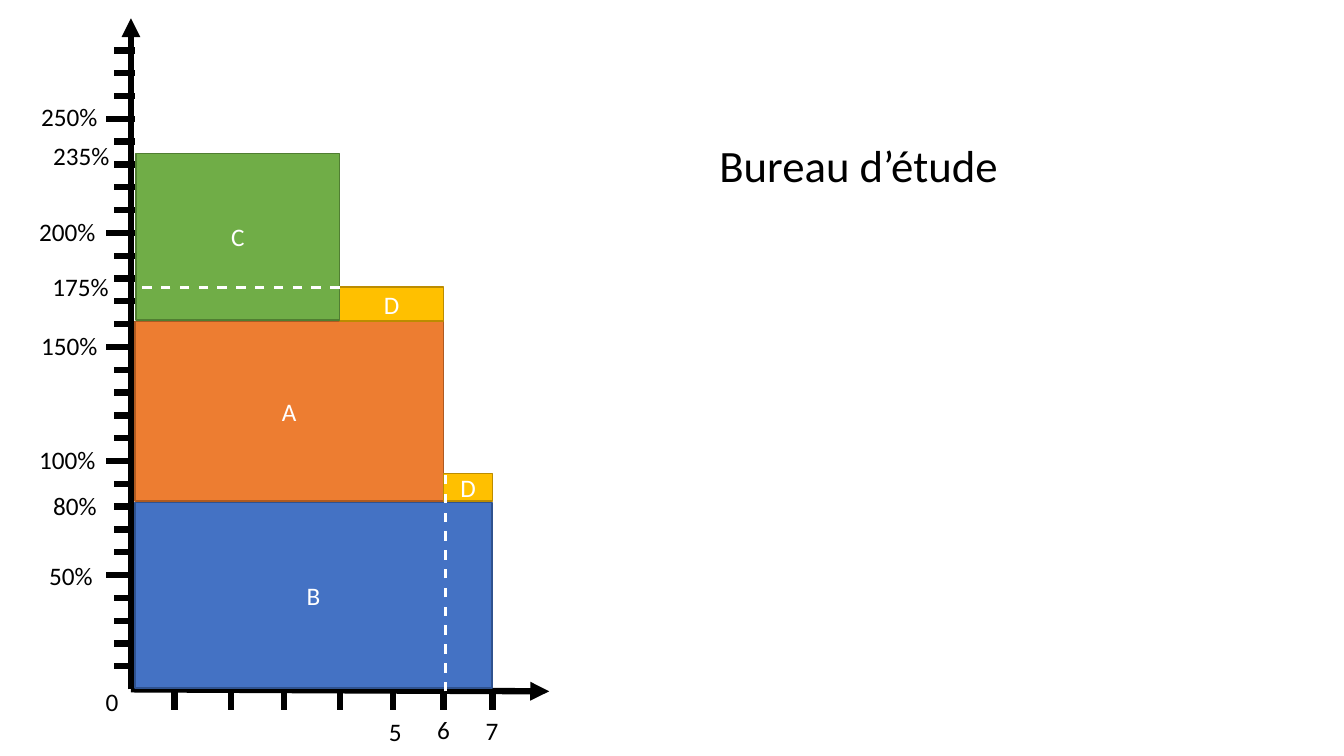
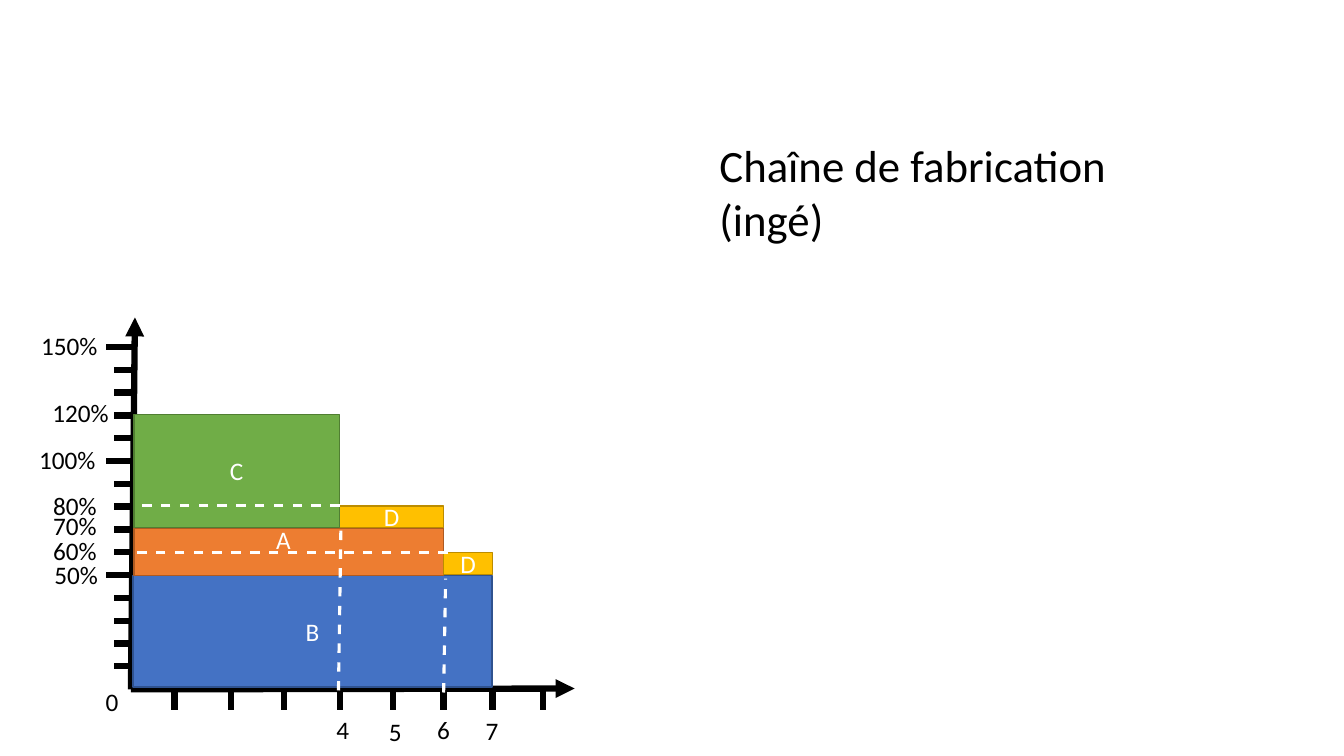
"""Build two slides of stacked workload blocks against a percent axis."""
import dataclasses
import lxml.etree
import pptx
import pptx.dml.color
import pptx.enum.shapes
import pptx.enum.text
import pptx.oxml.ns
import pptx.util

Cm = pptx.util.Cm
Pt = pptx.util.Pt
RGB = pptx.dml.color.RGBColor.from_string


@dataclasses.dataclass(frozen=True)
class Theme:
    font: str = "Calibri"
    ink: str = "000000"
    pale: str = "FFFFFF"
    body: int = 18
    title: int = 32
    axis: float = 4.5
    dash: float = 2.25
    edge: float = 1


theme = Theme()
hues = {
    "A": ("ED7D31", "AE5A21"),
    "B": ("4472C4", "2F528F"),
    "C": ("70AD47", "507E32"),
    "D": ("FFC000", "BC8C00"),
}


def write(slide, text, box, size=theme.body, ink=theme.ink, hue=None):
    place = [Cm(part) for part in box]
    if hue:
        kind = pptx.enum.shapes.MSO_SHAPE.RECTANGLE
        shape = slide.shapes.add_shape(kind, *place)
        shape.shadow.inherit = False
        shape.fill.solid()
        shape.fill.fore_color.rgb = RGB(hue[0])
        shape.line.color.rgb = RGB(hue[1])
        shape.line.width = Pt(theme.edge)
    else:
        shape = slide.shapes.add_textbox(*place)
    frame = shape.text_frame
    frame.word_wrap = True
    if not text:
        return
    para = frame.paragraphs[0]
    if hue:
        frame.vertical_anchor = pptx.enum.text.MSO_ANCHOR.MIDDLE
        para.alignment = pptx.enum.text.PP_ALIGN.CENTER
    run = para.add_run()
    run.text = text
    run.font.name = theme.font
    run.font.size = Pt(size)
    run.font.color.rgb = RGB(ink)


def rule(slide, ends, arrow=False, dash=False):
    kind = pptx.enum.shapes.MSO_CONNECTOR.STRAIGHT
    line = slide.shapes.add_connector(kind, *[Cm(part) for part in ends])
    line.line.color.rgb = RGB(theme.pale if dash else theme.ink)
    line.line.width = Pt(theme.dash if dash else theme.axis)
    name = pptx.oxml.ns.qn
    stroke = line.line._get_or_add_ln()
    if dash:
        cust = lxml.etree.SubElement(stroke, name("a:custDash"))
        lxml.etree.SubElement(cust, name("a:ds"), d="300000", sp="300000")
    if arrow:
        lxml.etree.SubElement(stroke, name("a:tailEnd"), type="triangle")
    lxml.etree.SubElement(line._element.spPr, name("a:effectLst"))


low, high = 16.79, 1.27
step = (low - high) / 27
marks = [4.4, 5.82, 7.16, 8.56, 9.9, 11.18, 12.41]

pages = [
    {
        "title": "Bureau d’étude",
        "axes": [(3.3, 17.37, 3.3, 0.46), (3.3, 17.37, 13.84, 17.42)],
        "ticks": 28,
        "marks": marks,
        "blocks": [
            ("B", 3.4, 12.66, 9, 4.68),
            ("A", 3.4, 8.1, 7.78, 4.53),
            ("D", 8.56, 7.23, 2.62, 0.86),
            ("C", 3.43, 3.87, 5.13, 4.2),
            ("D", 11.18, 11.94, 1.23, 0.69),
        ],
        "guides": [(8.56, 7.24, 3.43, 7.24), (11.22, 17.42, 11.22, 8.2)],
        "labels": [
            ("50%", 0.99, 14), ("80%", 1.09, 12.24), ("100%", 0.74, 11.07),
            ("150%", 0.79, 8.2), ("175%", 1.07, 6.7), ("200%", 0.74, 5.33),
            ("235%", 1.09, 3.4), ("250%", 0.79, 2.44),
        ],
        "days": [("5", 9.55, 17.93), ("6", 10.77, 17.88), ("7", 11.99, 17.91)],
    },
    {
        "title": "Chaîne de fabrication (ingé)",
        "axes": [(3.3, 17.37, 3.4, 8), (3.3, 17.37, 14.48, 17.35)],
        "ticks": 15,
        "marks": marks + [13.68],
        "blocks": [
            ("B", 3.35, 14.5, 9.05, 2.81),
            ("A", 3.38, 13.31, 7.8, 1.19),
            ("D", 8.56, 12.75, 2.62, 0.54),
            ("C", 3.38, 10.44, 5.17, 2.85),
            ("D", 11.18, 13.92, 1.23, 0.56),
        ],
        "guides": [
            (8.56, 12.73, 3.4, 12.73), (11.28, 13.92, 3.4, 13.92),
            (11.18, 17.45, 11.23, 14.58), (8.53, 17.4, 8.59, 13.36),
        ],
        "labels": [
            ("50%", 1.12, 13.97), ("60%", 1.09, 13.36), ("70%", 1.09, 12.73),
            ("80%", 1.09, 12.22), ("100%", 0.74, 11.07), ("120%", 1.07, 9.88),
            ("150%", 0.79, 8.2),
        ],
        "days": [
            ("4", 8.23, 17.88), ("5", 9.55, 17.93),
            ("6", 10.77, 17.88), ("7", 11.99, 17.91),
        ],
        "over": ("A", (6.71, 13.08, 0.89, 1.02)),
    },
]

deck = pptx.Presentation()
deck.slide_width = Cm(33.87)
deck.slide_height = Cm(19.05)

for page in pages:
    slide = deck.slides.add_slide(deck.slide_layouts[6])
    for axis in page["axes"]:
        rule(slide, axis, arrow=True)
    for tick in range(page["ticks"]):
        level = low - tick * step
        left = 2.67 if tick % 5 == 4 else 2.87
        rule(slide, (3.4, level, left, level))
    for mark in page["marks"]:
        rule(slide, (mark, 17.36, mark, 17.88))
    over = page.get("over")
    for name, *box in page["blocks"]:
        text = "" if over and name == over[0] else name
        write(slide, text, box, ink=theme.pale, hue=hues[name])
    for guide in page["guides"]:
        rule(slide, guide, dash=True)
    if over:
        write(slide, *over, ink=theme.pale)
    for text, left, top in page["labels"]:
        write(slide, text, (left, top, 1.95, 1.02))
    for text, left, top in page["days"] + [("0", 2.41, 17.17)]:
        write(slide, text, (left, top, 0.9, 1.02))
    tall = 1.62 if page["title"].startswith("Bureau") else 3
    write(slide, page["title"], (17.88, 3.35, 10.57, tall), size=theme.title)

deck.save("out.pptx")
